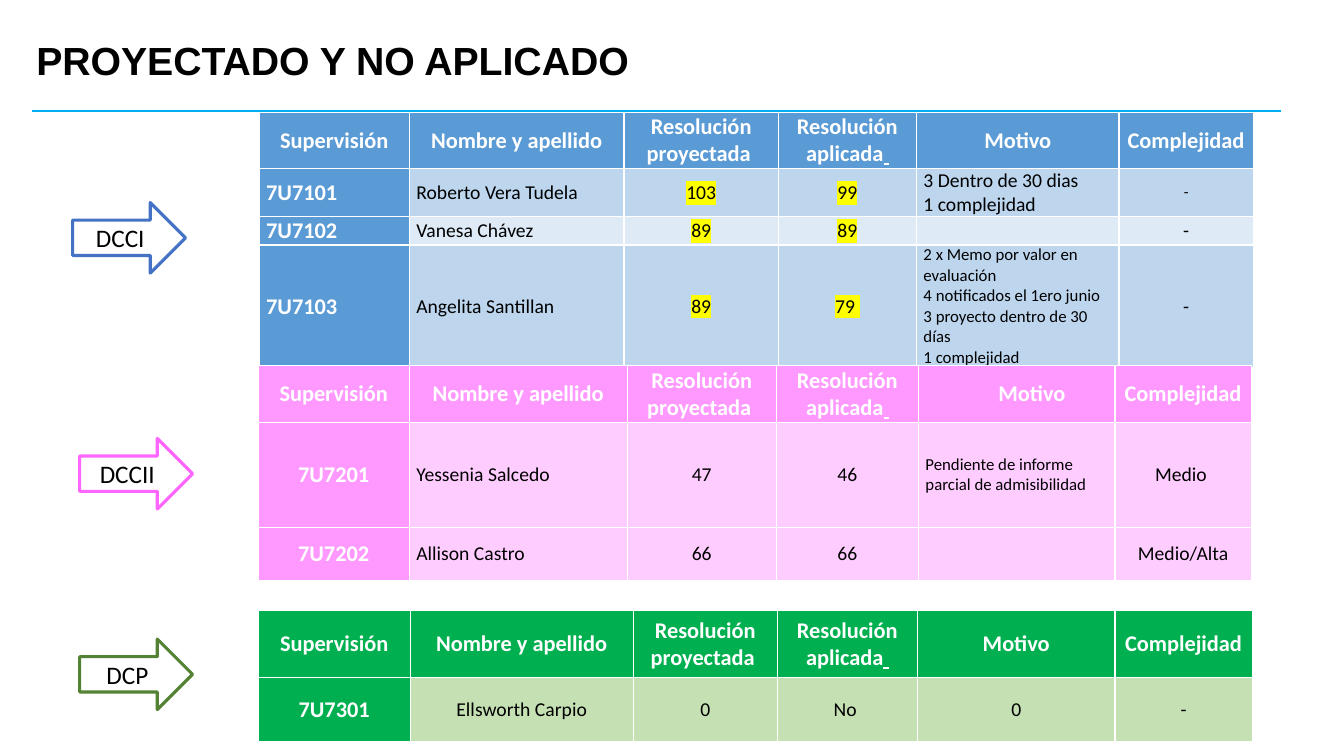
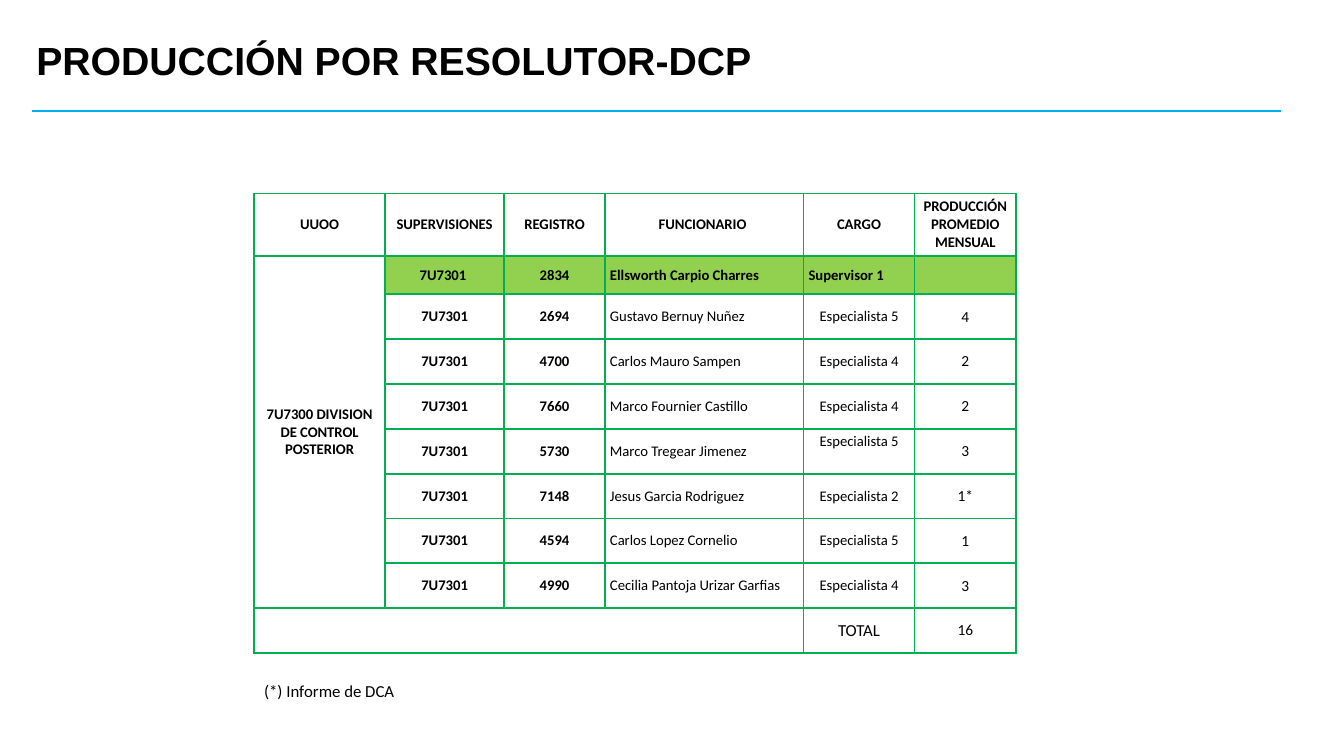
from lxml.etree import SubElement
from pptx import Presentation
from pptx.dml.color import RGBColor
from pptx.enum.shapes import MSO_CONNECTOR, MSO_SHAPE
from pptx.enum.text import MSO_ANCHOR, PP_ALIGN
from pptx.oxml import parse_xml
from pptx.oxml.ns import nsdecls, qn
from pptx.util import Inches, Pt

# Shared style
BLACK = RGBColor(0x00, 0x00, 0x00)
WHITE = RGBColor(0xFF, 0xFF, 0xFF)
YELLOW = RGBColor(0xFF, 0xFF, 0x00)
RULE_CYAN = RGBColor(0x00, 0xB0, 0xF0)
BLUE = RGBColor(0x5B, 0x9B, 0xD5)
BLUE_LIGHT = RGBColor(0xBD, 0xD6, 0xEE)
BLUE_PALE = RGBColor(0xDE, 0xEA, 0xF6)
BLUE_EDGE = RGBColor(0x44, 0x72, 0xC4)
PINK = RGBColor(0xFF, 0x99, 0xFF)
PINK_LIGHT = RGBColor(0xFF, 0xCC, 0xFF)
PINK_EDGE = RGBColor(0xFF, 0x66, 0xFF)
GREEN = RGBColor(0x00, 0xB0, 0x50)
GREEN_LIGHT = RGBColor(0xC5, 0xE0, 0xB3)
GREEN_EDGE = RGBColor(0x54, 0x82, 0x35)
LIME = RGBColor(0x92, 0xD0, 0x50)
LEFT, CENTER = PP_ALIGN.LEFT, PP_ALIGN.CENTER

# Slide 1 content; "_" stands for an underlined space
HEADINGS = ["Supervisión", "Nombre y apellido", "Resolución proyectada ",
            "Resolución_aplicada_", "Motivo", "Complejidad"]
DIVISIONS = [
    dict(name="DCCI", arrow=(0.72, 2.01), edge=BLUE_EDGE, main=BLUE,
         bands=[BLUE_LIGHT, BLUE_PALE], at=(2.57, 1.12),
         columns=[1.49, 2.13, 1.53, 1.37, 2.01, 1.33],
         heights=[0.55, 0.48, 0.28, 1.2],
         aligns=[LEFT, LEFT, CENTER, CENTER, LEFT, CENTER],
         marked=(2, 3), sizes={(1, 5): 11, (3, 4): 12}, motive_inset=0.07,
         rows=[
             ["7U7101", "Roberto Vera Tudela", "103", "99",
              "3 Dentro de 30 dias\n1 complejidad", "-"],
             ["7U7102", "Vanesa Chávez", "89", "89", "", "-"],
             ["7U7103", "Angelita Santillan", "89", "79 ",
              "2 x Memo por valor en evaluación\n4 notificados el 1ero junio\n"
              "3 proyecto dentro de 30 días\n1 complejidad", "-"]]),
    dict(name="DCCII", arrow=(0.79, 4.35), edge=PINK_EDGE, main=PINK,
         bands=[PINK_LIGHT], at=(2.56, 3.63),
         columns=[1.5, 2.16, 1.48, 1.41, 1.95, 1.35],
         heights=[0.56, 1.04, 0.53],
         aligns=[CENTER, LEFT, CENTER, CENTER, LEFT, CENTER],
         marked=(), sizes={(1, 4): 12}, motive_inset=0.37,
         rows=[
             ["7U7201", "Yessenia Salcedo", "47", "46",
              "Pendiente de informe parcial de admisibilidad", "Medio "],
             ["7U7202", "Allison Castro", "66", "66", "", "Medio/Alta"]]),
    dict(name="DCP", arrow=(0.79, 6.34), edge=GREEN_EDGE, main=GREEN,
         bands=[GREEN_LIGHT], at=(2.56, 6.06),
         columns=[1.51, 2.21, 1.43, 1.39, 1.96, 1.36],
         heights=[0.66, 0.64], aligns=[CENTER] * 6,
         marked=(), sizes={}, motive_inset=0.07,
         rows=[["7U7301", "Ellsworth Carpio", "0", "No ", "0", "-"]]),
]

# Slide 2 content
STAFF_HEADINGS = ["UUOO", "SUPERVISIONES", "REGISTRO", "FUNCIONARIO ", "CARGO",
                  "PRODUCCIÓN PROMEDIO MENSUAL"]
UNIT = "7U7300 DIVISION DE CONTROL POSTERIOR"
SUPERVISION = "7U7301"
STAFF = [
    ("2834", "Ellsworth Carpio Charres", "Supervisor 1", ""),
    ("2694", "Gustavo Bernuy Nuñez", "Especialista 5", "4"),
    ("4700", "Carlos Mauro Sampen", "Especialista 4", "2"),
    ("7660", "Marco Fournier Castillo", "Especialista 4", "2"),
    ("5730", "Marco Tregear Jimenez", "Especialista 5", "3"),
    ("7148", "Jesus Garcia Rodriguez", "Especialista 2", "1*"),
    ("4594", "Carlos Lopez Cornelio", "Especialista 5", "1"),
    ("4990", "Cecilia Pantoja Urizar Garfias", "Especialista 4", "3"),
]
TOTAL = ["", "", "", "", "TOTAL", "16"]
STAFF_COLUMNS = [1.3, 1.18, 1, 1.97, 1.1, 1.01]
STAFF_HEIGHTS = [0.62, 0.38] + [(4.56 - 0.62 - 0.38) / 8] * 8
RAISED_ROW = 5


def write(frame, text, size=14, color=BLACK, bold=False, font="Calibri",
          align=LEFT, highlight=None, spacing=None):
    """Fill a text frame: one paragraph a line, underlined spaces at "_"."""
    frame.word_wrap = True
    for index, line in enumerate(text.split("\n")):
        paragraph = frame.add_paragraph() if index else frame.paragraphs[0]
        paragraph.alignment = align
        if spacing:
            paragraph.line_spacing = spacing
        if not line:
            SubElement(paragraph._p, qn("a:endParaRPr"), sz=str(int(size * 100)))
            continue
        for part, piece in enumerate(line.split("_")):
            for words, underlined in ((" " * bool(part), True), (piece, False)):
                if not words:
                    continue
                run = paragraph.add_run()
                run.text = words
                run.font.size, run.font.bold = Pt(size), bold
                run.font.color.rgb = color
                if underlined:
                    run.font.underline = True
                if highlight:
                    mark = SubElement(run._r.get_or_add_rPr(), qn("a:highlight"))
                    SubElement(mark, qn("a:srgbClr"), val=str(highlight))
                run.font.name = font


def start_slide(deck, title):
    """Add a slide with the common title and the rule below it."""
    slide = deck.slides.add_slide(deck.slide_layouts[5])
    rule = slide.shapes.add_connector(
        MSO_CONNECTOR.STRAIGHT, Inches(0.32), Inches(1.1), Inches(12.71), Inches(1.1))
    rule.line.color.rgb, rule.line.width = RULE_CYAN, Pt(1.5)
    SubElement(rule._element.spPr, qn("a:effectLst"))
    heading = slide.shapes.title
    heading.left, heading.top = Inches(0.26), Inches(0.27)
    heading.width, heading.height = Inches(11.5), Inches(0.7)
    heading.text_frame.vertical_anchor = MSO_ANCHOR.MIDDLE
    write(heading.text_frame, title, size=28, bold=True, font="Arial", spacing=0.9)
    return slide


def add_grid(slide, at, columns, heights):
    """Add a plain table with the given column widths and row heights."""
    grid = slide.shapes.add_table(
        len(heights), len(columns), Inches(at[0]), Inches(at[1]),
        Inches(sum(columns)), Inches(sum(heights))).table
    grid.first_row = grid.horz_banding = False
    for column, width in zip(grid.columns, columns):
        column.width = Inches(width)
    for row, height in zip(grid.rows, heights):
        row.height = Inches(height)
    return grid


def fill_cell(cell, text, fill, border, border_width, inset, **text_format):
    """Format one cell and write its text."""
    cell.vertical_anchor = MSO_ANCHOR.MIDDLE
    cell.margin_left = cell.margin_right = Inches(inset)
    cell.margin_top = cell.margin_bottom = 0
    if fill is None:
        cell.fill.background()
    else:
        cell.fill.solid()
        cell.fill.fore_color.rgb = fill
    properties = cell._tc.get_or_add_tcPr()
    for position, side in enumerate("LRTB"):
        properties.insert(position, parse_xml(
            f'<a:ln{side} {nsdecls("a")} w="{Pt(border_width)}"><a:solidFill>'
            f'<a:srgbClr val="{border}"/></a:solidFill></a:ln{side}>'))
    write(cell.text_frame, text, **text_format)


def add_division(slide, division):
    """Add a division's arrow and its table."""
    left, top = division["arrow"]
    arrow = slide.shapes.add_shape(MSO_SHAPE.RIGHT_ARROW, Inches(left), Inches(top),
                                   Inches(1.12), Inches(0.7))
    arrow.shadow.inherit = False
    arrow.fill.solid()
    arrow.fill.fore_color.rgb = WHITE
    arrow.line.color.rgb, arrow.line.width = division["edge"], Pt(2.25)
    arrow.text_frame.vertical_anchor = MSO_ANCHOR.MIDDLE
    write(arrow.text_frame, division["name"], size=18, align=CENTER)

    grid = add_grid(slide, division["at"], division["columns"], division["heights"])
    bands = division["bands"]
    for r, row in enumerate([HEADINGS] + division["rows"]):
        for c, text in enumerate(row):
            strong = r == 0 or c == 0
            fill_cell(
                grid.cell(r, c), text,
                division["main"] if strong else bands[(r - 1) % len(bands)],
                WHITE, 1, 0.07,
                size=16 if strong else division["sizes"].get((r, c), 14),
                color=WHITE if strong else BLACK, bold=strong,
                align=division["aligns"][c] if r else CENTER,
                highlight=YELLOW if r and c in division["marked"] else None)
    grid.cell(0, 4).margin_left = Inches(division["motive_inset"])


def add_staff(slide):
    """Add the table of production by person."""
    grid = add_grid(slide, (2.52, 1.92), STAFF_COLUMNS, STAFF_HEIGHTS)
    people = [["" if i else UNIT, SUPERVISION + (" " if i == 0 else ""), *person]
              for i, person in enumerate(STAFF)]
    last = len(people) + 1
    for r, row in enumerate([STAFF_HEADINGS] + people + [TOTAL]):
        for c, text in enumerate(row):
            supervisor = r == 1 and c > 0
            output = r > 1 and c == 5
            size = 12 if text == "TOTAL" else 11 if output else 10.5
            fill_cell(
                grid.cell(r, c), text,
                LIME if supervisor else WHITE if output else None,
                GREEN, 1.5, 0.05, size=size, bold=r < 2 or c < 3,
                align=LEFT if r and (c == 3 or (c == 4 and r == 1)) else CENTER)
    grid.cell(1, 0).merge(grid.cell(last - 1, 0))
    grid.cell(last, 0).merge(grid.cell(last, 3))
    grid.cell(RAISED_ROW, 4).margin_bottom = Inches(0.2)


def main():
    deck = Presentation()
    deck.slide_width, deck.slide_height = Inches(13.33), Inches(7.5)

    # Projected against applied resolutions
    comparison = start_slide(deck, "PROYECTADO Y NO APLICADO")
    for division in DIVISIONS:
        add_division(comparison, division)

    # Production by person
    production = start_slide(deck, "PRODUCCIÓN POR RESOLUTOR-DCP")
    add_staff(production)
    footnote = production.shapes.add_textbox(
        Inches(2.52), Inches(6.7), Inches(3.05), Inches(0.3))
    write(footnote.text_frame, "(*) Informe de DCA", size=12)

    deck.save("out.pptx")


if __name__ == "__main__":
    main()
